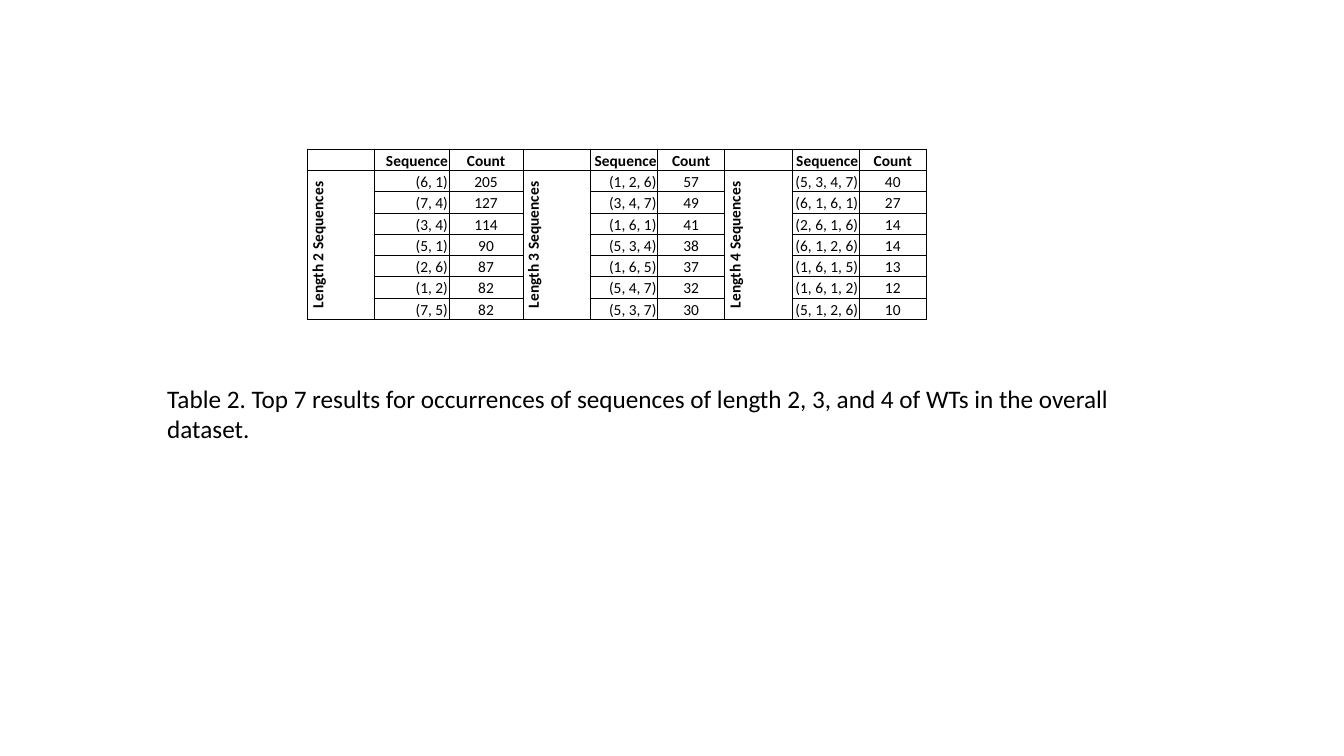
from dataclasses import dataclass

import lxml.etree
import pptx
import pptx.dml.color
import pptx.enum.text
import pptx.oxml.ns
import pptx.util

qn = pptx.oxml.ns.qn
Inches = pptx.util.Inches
ALIGN = pptx.enum.text.PP_ALIGN


@dataclass(frozen=True)
class Theme:
    font: str = "Calibri"
    ink: str = "000000"
    caption: int = 18
    cell: int = 11
    thin: float = 0.5
    thick: float = 1
    table_style: str = "{2D5ABB26-0587-4C30-8999-92F81FD0307C}"


class Deck:
    def __init__(self, prs, theme):
        self.prs, self.theme = prs, theme
        self.s = prs.slides.add_slide(prs.slide_layouts[6])

    def box(self, x, y, w, h):
        sw, sh = self.prs.slide_width, self.prs.slide_height
        return [round(v) for v in (x * sw, y * sh, w * sw, h * sh)]

    def add_text(self, p, text, size, bold=False, align=ALIGN.LEFT):
        p.alignment = align
        r = p.add_run()
        r.text = text
        r.font.name, r.font.size, r.font.bold = self.theme.font, pptx.util.Pt(size), bold
        r.font.color.rgb = pptx.dml.color.RGBColor.from_string(self.theme.ink)

    def caption(self, text, *share):
        tf = self.s.shapes.add_textbox(*self.box(*share)).text_frame
        tf.word_wrap = True
        self.add_text(tf.paragraphs[0], text, self.theme.caption)

    def border(self, cell, **heavy):
        tcPr = cell._tc.get_or_add_tcPr()
        for i, side in enumerate("LRTB"):
            width = self.theme.thick if heavy[side] else self.theme.thin
            ln = lxml.etree.Element(qn(f"a:ln{side}"), w=str(pptx.util.Pt(width)))
            fill = lxml.etree.SubElement(ln, qn("a:solidFill"))
            lxml.etree.SubElement(fill, qn("a:srgbClr"), val=self.theme.ink)
            tcPr.insert(i, ln)

    def cell(self, cell, text, bold, align, vertical):
        cell.margin_left = cell.margin_right = cell.margin_top = Inches(0.01)
        cell.margin_bottom = 0
        cell.vertical_anchor = pptx.enum.text.MSO_ANCHOR.BOTTOM
        cell.fill.background()
        p = cell.text_frame.paragraphs[0]
        if text:
            self.add_text(p, text, self.theme.cell, bold, align)
        else:
            lxml.etree.SubElement(p._p, qn("a:endParaRPr"), sz=str(self.theme.cell * 100))
        if vertical:
            cell._tc.get_or_add_tcPr().set("vert", "vert270")

    def sequence_table(self, groups, widths, *share):
        n_rows = 1 + len(groups[0][1])
        frame = self.s.shapes.add_table(n_rows, 3 * len(groups), *self.box(*share))
        tbl = frame.table
        tbl.first_row = tbl.horz_banding = False
        tbl._tbl.tblPr.find(qn("a:tableStyleId")).text = self.theme.table_style
        total = frame.width
        for col, width in zip(tbl.columns, widths):
            col.width = round(total * width / sum(widths))
        for g, (label, pairs) in enumerate(groups):
            rows = [("", "Sequence", "Count")] + [("", seq, str(n)) for seq, n in pairs]
            rows[1] = (label,) + rows[1][1:]
            for i, row in enumerate(rows):
                for j, text in enumerate(row):
                    cell = tbl.cell(i, 3 * g + j)
                    align = ALIGN.RIGHT if j == 1 else ALIGN.CENTER
                    self.cell(cell, text, i == 0 or j == 0, align, j == 0 and i > 0)
                    self.border(cell, L=j == 0, R=j == 2, T=i <= 1, B=i in (0, n_rows - 1))
            tbl.cell(1, 3 * g).merge(tbl.cell(n_rows - 1, 3 * g))


GROUPS = [
    ("Length 2 Sequences", [
        ("(6, 1)", 205), ("(7, 4)", 127), ("(3, 4)", 114), ("(5, 1)", 90),
        ("(2, 6)", 87), ("(1, 2)", 82), ("(7, 5)", 82)]),
    ("Length 3 Sequences", [
        ("(1, 2, 6)", 57), ("(3, 4, 7)", 49), ("(1, 6, 1)", 41), ("(5, 3, 4)", 38),
        ("(1, 6, 5)", 37), ("(5, 4, 7)", 32), ("(5, 3, 7)", 30)]),
    ("Length 4 Sequences", [
        ("(5, 3, 4, 7)", 40), ("(6, 1, 6, 1)", 27), ("(2, 6, 1, 6)", 14),
        ("(6, 1, 2, 6)", 14), ("(1, 6, 1, 5)", 13), ("(1, 6, 1, 2)", 12),
        ("(5, 1, 2, 6)", 10)]),
]
WIDTHS = [0.67, 0.74, 0.74] + [0.67] * 6


def main():
    prs = pptx.Presentation()
    prs.slide_width, prs.slide_height = Inches(13.33), Inches(7.5)
    deck = Deck(prs, Theme())
    deck.sequence_table(GROUPS, WIDTHS, 3.05 / 13.33, 1.48 / 7.5, 6.14 / 13.33, 1.69 / 7.5)
    deck.caption(
        "Table 2. Top 7 results for occurrences of sequences of length 2, 3, and 4 "
        "of WTs in the overall dataset.",
        1.56 / 13.33, 3.75 / 7.5, 10.38 / 13.33, 0.71 / 7.5)
    prs.save("out.pptx")


if __name__ == "__main__":
    main()
